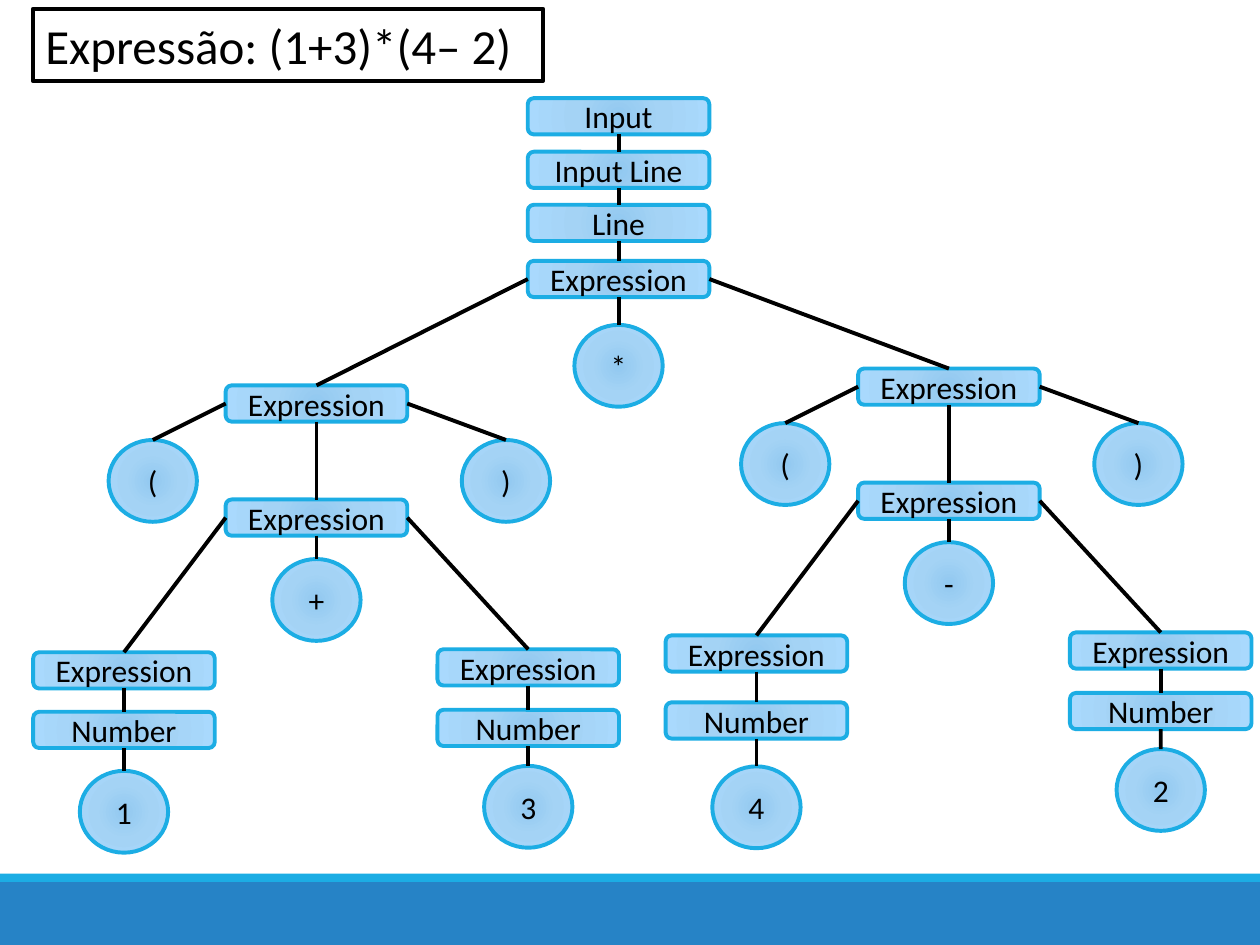
from dataclasses import dataclass

from lxml import etree
from pptx import Presentation
from pptx import util as u
from pptx.dml.color import RGBColor
from pptx.enum import shapes, text
from pptx.oxml import parse_xml
from pptx.oxml.ns import nsdecls, qn


@dataclass(frozen=True)
class Theme:
    font: str = "Calibri"
    ink: str = "000000"
    accent: str = "1CADE4"
    footer: str = "2683C6"
    gradient: tuple = ((0, "92C9F0"), (45, "A4D3F5"), (100, "A9D9FD"))
    title_size: int = 28
    node_size: int = 18
    line_width: float = 2.25


THEME = Theme()
SLIDE_WIDTH, SLIDE_HEIGHT = 25.4, 19.05
RULE_SIZE = (3.66, 0.73)
TOKEN_SIZE = (1.78, 1.65)
TOP, LEFT, BOTTOM, RIGHT = range(4)  # connection sites


def color(value):
    return RGBColor.from_string(value)


def style_line(line, value):
    line.color.rgb = color(value)
    line.width = u.Pt(THEME.line_width)


def style_text(paragraph, size, alignment):
    paragraph.alignment = alignment
    for run in paragraph.runs:
        run.font.name = THEME.font
        run.font.size = u.Pt(size)
        run.font.color.rgb = color(THEME.ink)


def fill_radial(shape):
    stops = "".join(
        f'<a:gs pos="{position * 1000}"><a:srgbClr val="{value}"/></a:gs>'
        for position, value in THEME.gradient
    )
    gradient = parse_xml(
        f'<a:gradFill {nsdecls("a")} rotWithShape="1"><a:gsLst>{stops}</a:gsLst>'
        '<a:path path="circle"><a:fillToRect l="100000" t="100000" r="100000" b="100000"/>'
        "</a:path></a:gradFill>"
    )
    shape.element.spPr.find(qn("a:prstGeom")).addnext(gradient)


def add_node(slide, kind, size, label, center, top):
    width, height = size
    shape = slide.shapes.add_shape(
        kind, u.Cm(center - width / 2), u.Cm(top), u.Cm(width), u.Cm(height)
    )
    shape.shadow.inherit = False
    fill_radial(shape)
    style_line(shape.line, THEME.accent)
    shape.text_frame.text = label
    shape.text_frame.vertical_anchor = text.MSO_ANCHOR.MIDDLE
    style_text(shape.text_frame.paragraphs[0], THEME.node_size, text.PP_ALIGN.CENTER)
    return shape


def add_rule(slide, label, center, top):
    """Add a grammar rule, drawn as a rounded box."""
    kind = shapes.MSO_SHAPE.ROUNDED_RECTANGLE
    return add_node(slide, kind, RULE_SIZE, label, center, top)


def add_token(slide, label, center, top):
    """Add a terminal symbol, drawn as a circle."""
    return add_node(slide, shapes.MSO_SHAPE.OVAL, TOKEN_SIZE, label, center, top)


def link(slide, parent, child, site=BOTTOM):
    """Join a site of the parent to the top of the child."""
    connector = slide.shapes.add_connector(shapes.MSO_CONNECTOR.STRAIGHT, 0, 0, 0, 0)
    connector.begin_connect(parent, site)
    connector.end_connect(child, TOP)
    style_line(connector.line, THEME.ink)
    etree.SubElement(connector.element.spPr, qn("a:effectLst"))


def add_title(slide, label, left, top, width, height):
    title = slide.shapes.title
    title.left, title.top = u.Cm(left), u.Cm(top)
    title.width, title.height = u.Cm(width), u.Cm(height)
    style_line(title.line, THEME.ink)
    frame = title.text_frame
    frame.text = label
    frame.vertical_anchor = text.MSO_ANCHOR.TOP
    frame.auto_size = text.MSO_AUTO_SIZE.NONE
    style_text(frame.paragraphs[0], THEME.title_size, text.PP_ALIGN.LEFT)


def add_footer(slide, top, stripe_height):
    bands = (
        (top, SLIDE_HEIGHT - top, THEME.footer),
        (top - stripe_height, stripe_height, THEME.accent),
    )
    for band_top, height, value in bands:
        band = slide.shapes.add_shape(
            shapes.MSO_SHAPE.RECTANGLE, 0, u.Cm(band_top), u.Cm(SLIDE_WIDTH), u.Cm(height)
        )
        band.shadow.inherit = False
        band.fill.solid()
        band.fill.fore_color.rgb = color(value)
        band.line.fill.background()


def add_trunk(slide, center, top):
    """Add the start rules and the product; return the product's rule."""
    parent = None
    for label, offset in (("Input", 0), ("Input Line", 1.08), ("Line", 2.15), ("Expression", 3.28)):
        rule = add_rule(slide, label, center, top + offset)
        if parent is not None:
            link(slide, parent, rule)
        parent = rule
    link(slide, parent, add_token(slide, "*", center, top + 4.57))
    return parent


def add_operand(slide, digit, center, top, number_offset, digit_offset):
    expression = add_rule(slide, "Expression", center, top)
    number = add_rule(slide, "Number", center, top + number_offset)
    link(slide, expression, number)
    link(slide, number, add_token(slide, digit, center, top + digit_offset))
    return expression


def add_group(slide, center, top, operator, digits, left_offsets):
    """Add a parenthesised operation; return its topmost rule."""
    outer = add_rule(slide, "Expression", center, top)
    inner = add_rule(slide, "Expression", center, top + 2.3)
    link(slide, outer, inner)
    link(slide, outer, add_token(slide, "(", center - 3.3, top + 1.1), LEFT)
    link(slide, outer, add_token(slide, ")", center + 3.82, top + 1.1), RIGHT)
    link(slide, inner, add_token(slide, operator, center, top + 3.5))
    left = add_operand(slide, digits[0], center - 3.88, top + 5.38, *left_offsets)
    right = add_operand(slide, digits[1], center + 4.27, top + 5.32, 1.22, 2.35)
    link(slide, inner, left, LEFT)
    link(slide, inner, right, RIGHT)
    return outer


def main():
    presentation = Presentation()
    presentation.slide_width = u.Cm(SLIDE_WIDTH)
    presentation.slide_height = u.Cm(SLIDE_HEIGHT)
    slide = presentation.slides.add_slide(presentation.slide_layouts.get_by_name("Title Only"))
    add_footer(slide, 17.78, 0.17)
    add_title(slide, "Expressão: (1+3)*(4– 2)", 0.66, 0.18, 10.29, 1.45)
    product = add_trunk(slide, 12.47, 1.98)
    addition = add_group(slide, 6.38, 7.77, "+", "13", (1.2, 2.39))
    subtraction = add_group(slide, 19.13, 7.43, "-", "42", (1.35, 2.64))
    link(slide, product, addition, LEFT)
    link(slide, product, subtraction, RIGHT)
    presentation.save("out.pptx")


if __name__ == "__main__":
    main()
